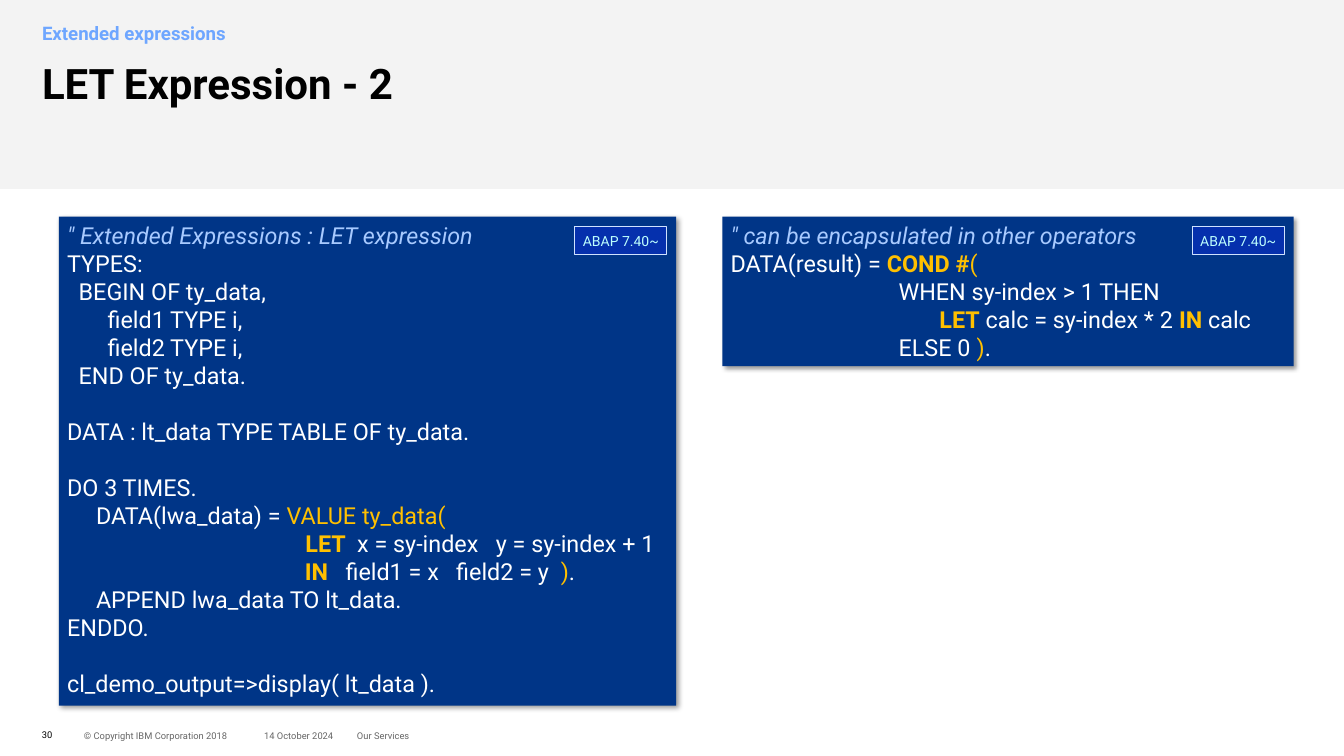
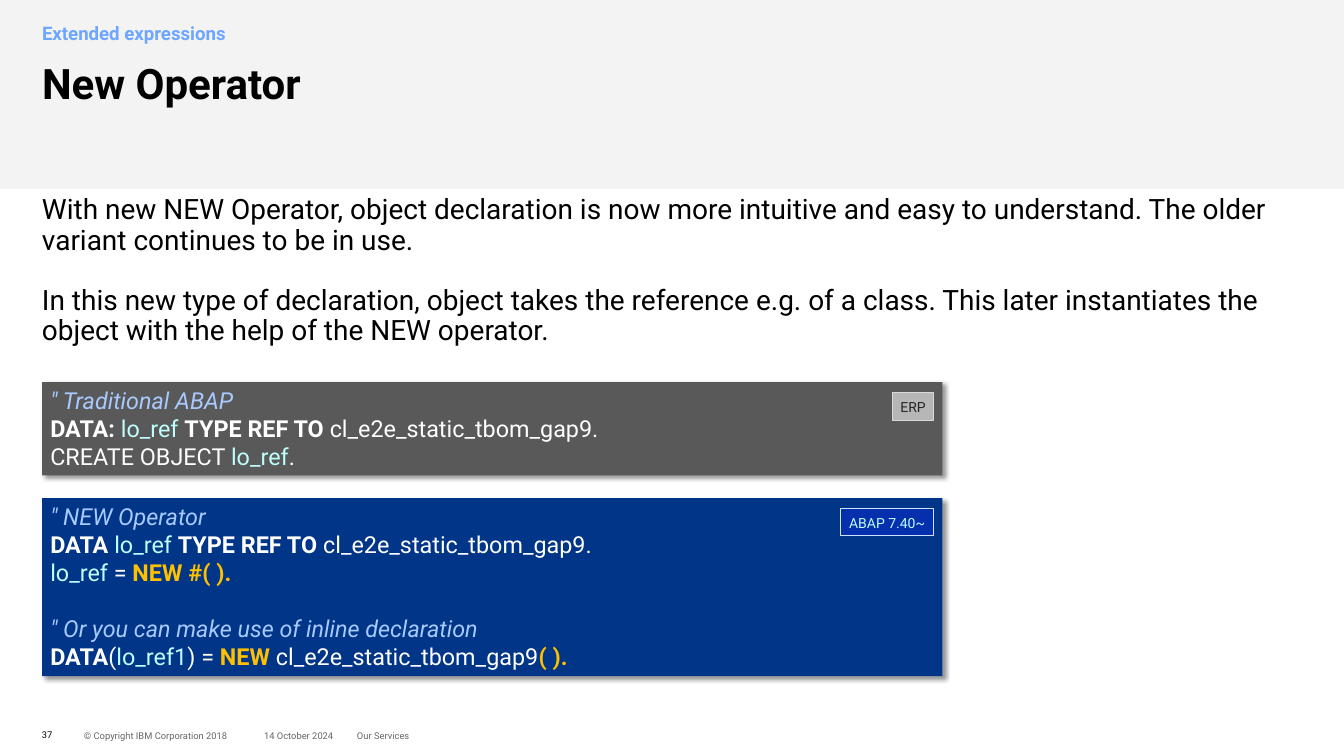
from lxml import etree
from pptx import Presentation
from pptx import util as u
from pptx.dml.color import RGBColor
from pptx.enum import shapes, text
from pptx.oxml.ns import qn

COLORS = {
    "black": "000000", "white": "FFFFFF", "grey": "666666", "band": "F3F3F3",
    "eyebrow": "6EA6FF", "navy": "003587", "charcoal": "595959",
    "comment": "A8CAFF", "gold": "FFC000", "aqua": "BEFFFE",
    "royal": "0530AD", "ice": "CFE2FF", "silver": "B6B6B6",
    "mist": "D9D9D9", "ink": "262626",
}

# Font formats of the spans in a code box
CODE = {
    "plain": {"color": "white"},
    "strong": {"color": "white", "bold": True},
    "comment": {"color": "comment", "italic": True},
    "gold": {"color": "gold"},
    "key": {"color": "gold", "bold": True},
    "name": {"color": "aqua"},
}

# Badge: label, width, fill, line, text colour
NEW_ABAP = ("ABAP 7.40~", 1.1, "royal", "ice", "aqua")
OLD_ABAP = ("ERP", 0.49, "silver", "mist", "ink")

FOOTERS = [
    ("© Copyright IBM Corporation 2018", 1, 2.5, "LEFT"),
    ("14 October 2024", 2.47, 1.5, "RIGHT"),
    ("Our Services", 4.25, 2.5, "LEFT"),
]
MARGIN = 0.5
CODE_LINE = 24


def rgb(name):
    return RGBColor.from_string(COLORS[name])


def place(shape, left, top, width, height):
    edges = {"left": left, "top": top, "width": width, "height": height}
    for name, value in edges.items():
        setattr(shape, name, u.Inches(value))


class SlideBuilder:
    def __init__(self):
        self.deck = Presentation()
        self.deck.slide_width = u.Inches(16)
        self.deck.slide_height = u.Inches(9)
        self.slide = None

    def new_slide(self, number, title):
        self.slide = self.deck.slides.add_slide(self.deck.slide_layouts[1])
        band = self.rectangle((0, 0, 16, 2.25), "band")
        self.slide.shapes.element.insert(2, band.element)

        heading, eyebrow = self.slide.placeholders
        place(heading, MARGIN, 0.75, 15, 0.88)
        self.frame(heading, inset=0)
        self.add_text(heading, title, size=36, bold=True, spacing=0.9)
        place(eyebrow, MARGIN, 0.29, 3.25, 0.46)
        self.frame(eyebrow, inset=0)
        para = self.add_text(eyebrow, "Extended expressions", size=16,
                             bold=True, color="eyebrow", spacing=0.9)
        props = para._p.get_or_add_pPr()
        props.set("marL", "0")
        props.set("indent", "0")
        etree.SubElement(props, qn("a:buNone"))

        for label, left, width, align in FOOTERS:
            self.text_box((left, 8.64, width, 0.24), label, anchor="MIDDLE",
                          align=align, size=8, color="grey")
        self.text_box((MARGIN, 8.63, 0.36, 0.24), str(number),
                      anchor="MIDDLE", size=8)

    def frame(self, shape, inset=None, anchor="TOP", wrap=True):
        frame = shape.text_frame
        frame.word_wrap = wrap
        frame.auto_size = text.MSO_AUTO_SIZE.NONE
        frame.vertical_anchor = getattr(text.MSO_ANCHOR, anchor)
        if inset is not None:
            for side in ("left", "top", "right", "bottom"):
                setattr(frame, f"margin_{side}", u.Inches(inset))

    def span(self, para, words, size, color="black", **formats):
        run = para.add_run()
        run.text = words
        run.font.color.rgb = rgb(color)
        formats = {"name": "Roboto", "size": u.Pt(size), "bold": False, **formats}
        for name, value in formats.items():
            setattr(run.font, name, value)

    def paragraph(self, shape, first, before=0, align="LEFT", spacing=1.0):
        frame = shape.text_frame
        para = frame.paragraphs[0] if first else frame.add_paragraph()
        formats = {"alignment": getattr(text.PP_ALIGN, align),
                   "line_spacing": spacing, "space_before": u.Pt(before),
                   "space_after": u.Pt(0)}
        for name, value in formats.items():
            setattr(para, name, value)
        return para

    def add_text(self, shape, words, first=True, before=0, align="LEFT",
                 spacing=1.0, **formats):
        para = self.paragraph(shape, first, before, align, spacing)
        self.span(para, words, **formats)
        return para

    def text_box(self, at, words, anchor="TOP", **formats):
        box = self.slide.shapes.add_textbox(*map(u.Inches, at))
        self.frame(box, inset=0, anchor=anchor)
        self.add_text(box, words, **formats)
        return box

    def rectangle(self, at, fill, line=None):
        box = self.slide.shapes.add_shape(shapes.MSO_SHAPE.RECTANGLE,
                                          *map(u.Inches, at))
        box.shadow.inherit = False
        box.fill.solid()
        box.fill.fore_color.rgb = rgb(fill)
        if line:
            box.line.color.rgb = rgb(line)
            box.line.width = u.Pt(0.75)
        else:
            box.line.fill.background()
        return box

    def drop_shadow(self, box):
        effects = box.element.spPr.find(qn("a:effectLst"))
        shadow = etree.SubElement(
            effects, qn("a:outerShdw"), blurRad=str(u.Pt(4)), dist=str(u.Pt(3)),
            dir=str(45 * 60000), algn="tl", rotWithShape="0")
        color = etree.SubElement(shadow, qn("a:srgbClr"), val=COLORS["black"])
        etree.SubElement(color, qn("a:alpha"), val="40000")

    def code(self, at, fill, badge, blocks):
        """Draw a code box; blocks of lines are one empty line apart."""
        box = self.rectangle(at, fill)
        self.drop_shadow(box)
        self.frame(box)
        for block_index, block in enumerate(blocks):
            for line_index, line in enumerate(block):
                first = block_index == line_index == 0
                gap = CODE_LINE if block_index and line_index == 0 else 0
                para = self.paragraph(box, first, gap)
                spans = [("plain", line)] if isinstance(line, str) else line
                for style, words in spans:
                    self.span(para, words, size=20, **CODE[style])
        self.badge(at, *badge)

    def badge(self, host, label, width, fill, line, color):
        left, top, host_width, _ = host
        at = (left + host_width - width - 0.11, top + 0.12, width, 0.33)
        box = self.rectangle(at, fill, line)
        self.frame(box, anchor="MIDDLE", wrap=False)
        self.add_text(box, label, size=12, color=color, spacing=1.05)


def let_slide(page):
    page.new_slide(30, "LET Expression - 2")
    page.code((0.7, 2.58, 7.35, 5.82), "navy", NEW_ABAP, [
        [
            [("comment", '" Extended Expressions : LET expression')],
            "TYPES:",
            "  BEGIN OF ty_data,",
            "       field1 TYPE i,",
            "       field2 TYPE i,",
            "  END OF ty_data.",
        ],
        ["DATA : lt_data TYPE TABLE OF ty_data."],
        [
            "DO 3 TIMES.",
            [("plain", "     DATA(lwa_data) = "), ("gold", "VALUE ty_data(")],
            [("key", " " * 41 + "LET "),
             ("plain", " x = sy-index   y = sy-index + 1")],
            [("plain", " " * 41), ("key", "IN"),
             ("plain", "   field1 = x   field2 = y  "),
             ("gold", ")"), ("plain", ".")],
            "     APPEND lwa_data TO lt_data.",
            "ENDDO.",
        ],
        ["cl_demo_output=>display( lt_data )."],
    ])
    page.code((8.6, 2.58, 6.8, 1.78), "navy", NEW_ABAP, [[
        [("comment", '" can be encapsulated in other operators')],
        [("plain", "DATA(result) = "), ("key", "COND #"), ("gold", "(")],
        " " * 29 + "WHEN sy-index > 1 THEN",
        [("plain", " " * 36), ("key", "LET"),
         ("plain", " calc = sy-index * 2 "), ("key", "IN"),
         ("plain", " calc")],
        [("plain", " " * 29 + "ELSE 0 "), ("gold", ")"), ("plain", ".")],
    ]])


def new_operator_slide(page):
    page.new_slide(37, "New Operator")
    prose = {"size": 24, "spacing": 0.9}
    box = page.text_box(
        (MARGIN, 2.33, 15, 2),
        "With new NEW Operator, object declaration is now more intuitive and "
        "easy to understand. The older variant continues to be in use.", **prose)
    page.add_text(
        box,
        "In this new type of declaration, object takes the reference e.g. of a "
        "class. This later instantiates the object with the help of the NEW "
        "operator.", first=False, before=26, **prose)

    class_name = "cl_e2e_static_tbom_gap9"
    typed = [("name", "lo_ref "), ("strong", "TYPE REF TO "),
             ("plain", class_name + ".")]
    page.code((MARGIN, 5.93, 10.72, 2.12), "navy", NEW_ABAP, [
        [
            [("comment", '" NEW Operator')],
            [("strong", "DATA "), *typed],
            [("name", "lo_ref "), ("plain", "= "), ("key", "NEW #( ).")],
        ],
        [
            [("comment", '" Or you can make use of inline declaration')],
            [("strong", "DATA"), ("plain", "("), ("name", "lo_ref1"),
             ("plain", ") = "), ("key", "NEW"), ("plain", " " + class_name),
             ("key", "( ).")],
        ],
    ])
    page.code((MARGIN, 4.55, 10.72, 1.11), "charcoal", OLD_ABAP, [[
        [("comment", '" Traditional ABAP')],
        [("strong", "DATA: "), *typed],
        [("plain", "CREATE OBJECT "), ("name", "lo_ref"), ("plain", ".")],
    ]])


def main():
    page = SlideBuilder()
    let_slide(page)
    new_operator_slide(page)
    page.deck.save("out.pptx")


if __name__ == "__main__":
    main()
